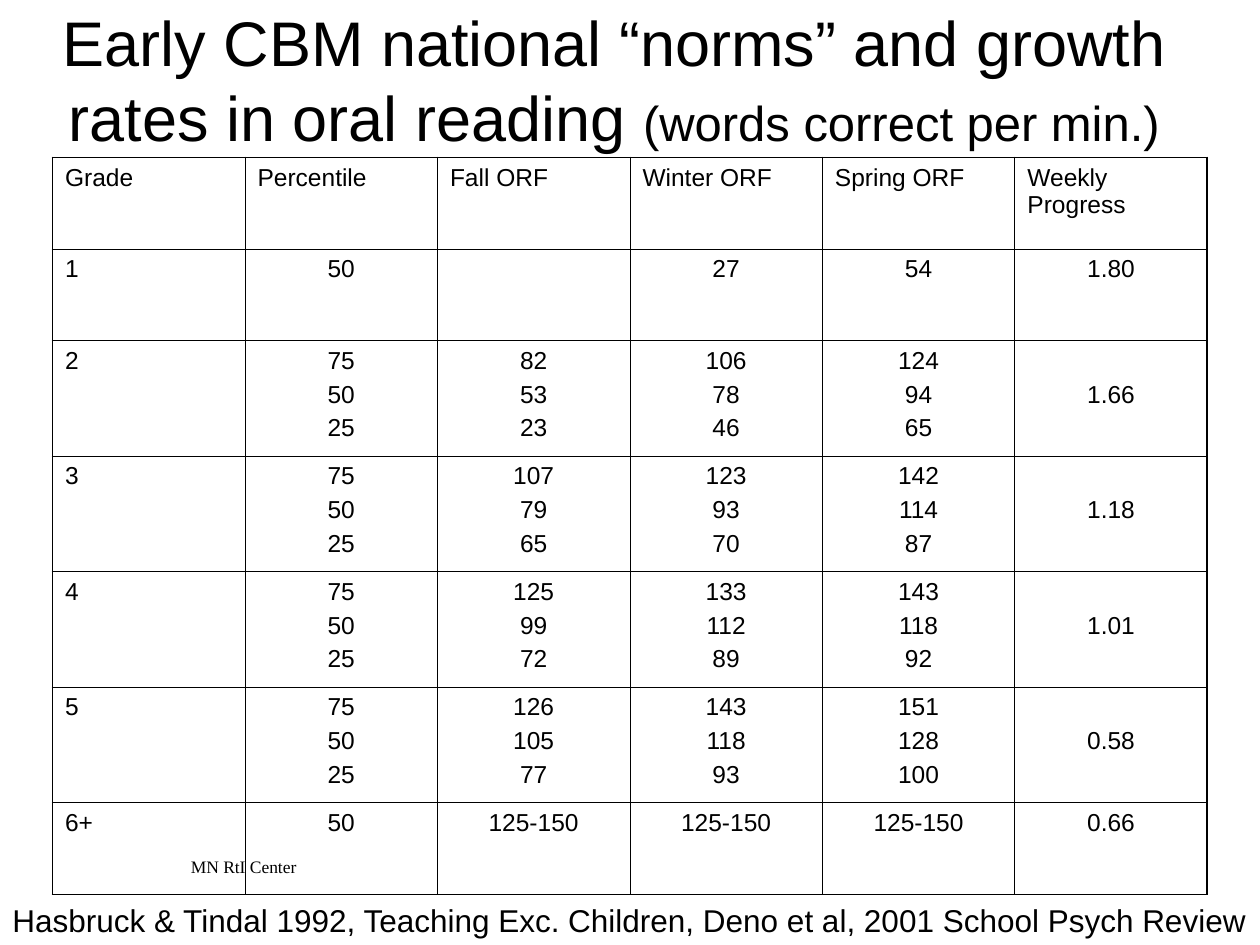
from lxml.etree import SubElement
from pptx import Presentation
from pptx.dml.color import RGBColor
from pptx.enum.text import MSO_ANCHOR, MSO_AUTO_SIZE, PP_ALIGN
from pptx.oxml.ns import qn
from pptx.util import Pt

INK = "000000"
HEADS = ["Grade", "Percentile", "Fall ORF", "Winter ORF", "Spring ORF", "Weekly Progress"]
NORMS = [
    ["1", "50", "", "27", "54", "1.80"],
    ["2", "75 50 25", "82 53 23", "106 78 46", "124 94 65", "1.66"],
    ["3", "75 50 25", "107 79 65", "123 93 70", "142 114 87", "1.18"],
    ["4", "75 50 25", "125 99 72", "133 112 89", "143 118 92", "1.01"],
    ["5", "75 50 25", "126 105 77", "143 118 93", "151 128 100", "0.58"],
    ["6+", "50", "125-150", "125-150", "125-150", "0.66"],
]


def color(code):
    """Turn a hex string into a colour."""
    return RGBColor.from_string(code)


def style(font, size, name="Arial"):
    """Set the face, size and ink of a font."""
    font.name, font.size = name, Pt(size)
    font.color.rgb = color(INK)


def place(shape, box):
    """Move a shape to a box given in points."""
    shape.left, shape.top, shape.width, shape.height = map(Pt, box)


def title(slide, box):
    """Fill the title with its large and small parts."""
    shape = slide.shapes.title
    place(shape, box)
    frame = shape.text_frame
    frame.auto_size = MSO_AUTO_SIZE.NONE
    frame.word_wrap = True
    frame.vertical_anchor = MSO_ANCHOR.MIDDLE
    para = frame.paragraphs[0]
    para.alignment = PP_ALIGN.CENTER
    parts = [
        ("Early CBM national “norms” and growth rates in oral reading ", 36),
        ("(words correct per min.)", 28),
    ]
    for text, size in parts:
        run = para.add_run()
        run.text = text
        style(run.font, size)


def label(slide, box, text, size, name="Arial", wrap=True):
    """Add one line of plain text."""
    frame = slide.shapes.add_textbox(*map(Pt, box)).text_frame
    frame.word_wrap = wrap
    frame.text = text
    style(frame.paragraphs[0].font, size, name)


def edge(cell, side, width):
    """Draw one border of a cell."""
    props = cell._tc.get_or_add_tcPr()
    line = SubElement(props, qn(f"a:{side}"), w=str(Pt(width)))
    fill = SubElement(line, qn("a:solidFill"))
    SubElement(fill, qn("a:srgbClr"), val=INK)


def write(cell, lines, align):
    """Write a cell as one paragraph per line."""
    cell.text = "\n".join(lines)
    for num, para in enumerate(cell.text_frame.paragraphs):
        para.alignment = align
        if num:
            para.space_before = Pt(3.5)
        style(para.font, 14)


def norms(slide, box):
    """Build the table of norms, with taller rows for three percentiles."""
    rows, cols = len(NORMS) + 1, len(HEADS)
    grid = slide.shapes.add_table(rows, cols, *map(Pt, box)).table
    grid.first_row = grid.horz_banding = False
    for col in grid.columns:
        col.width = Pt(box[2] / cols)
    for r, row in enumerate([HEADS] + NORMS):
        tall = r > 0 and " " in row[1]
        grid.rows[r].height = Pt(66 if tall else 52.4)
        for c, text in enumerate(row):
            cell = grid.cell(r, c)
            left = r == 0 or c == 0
            lines = [text] if r == 0 else text.split()
            write(cell, lines, PP_ALIGN.LEFT if left else PP_ALIGN.CENTER)
            if tall and c == cols - 1:
                cell.vertical_anchor = MSO_ANCHOR.MIDDLE
                cell.margin_bottom = Pt(7.8)
            outer = {"lnL": c == 0, "lnR": c == cols - 1, "lnT": r == 0, "lnB": r == rows - 1}
            for side, rim in outer.items():
                edge(cell, side, 1.08 if rim else 0.45)
            cell.fill.background()


def main():
    """Build and save the slide."""
    deck = Presentation()
    deck.slide_width, deck.slide_height = Pt(720), Pt(540)
    slide = deck.slides.add_slide(deck.slide_layouts[5])
    label(slide, (102, 485.5, 86, 19.5), "MN RtI Center", 10, "Times New Roman")
    title(slide, (0, 0, 702, 90))
    norms(slide, (30, 90, 660, 421.2))
    source = "Hasbruck & Tindal 1992, Teaching Exc. Children, Deno et al, 2001 School Psych Review"
    label(slide, (0, 511.2, 723, 28.8), source, 18, wrap=False)
    deck.save("out.pptx")


if __name__ == "__main__":
    main()
